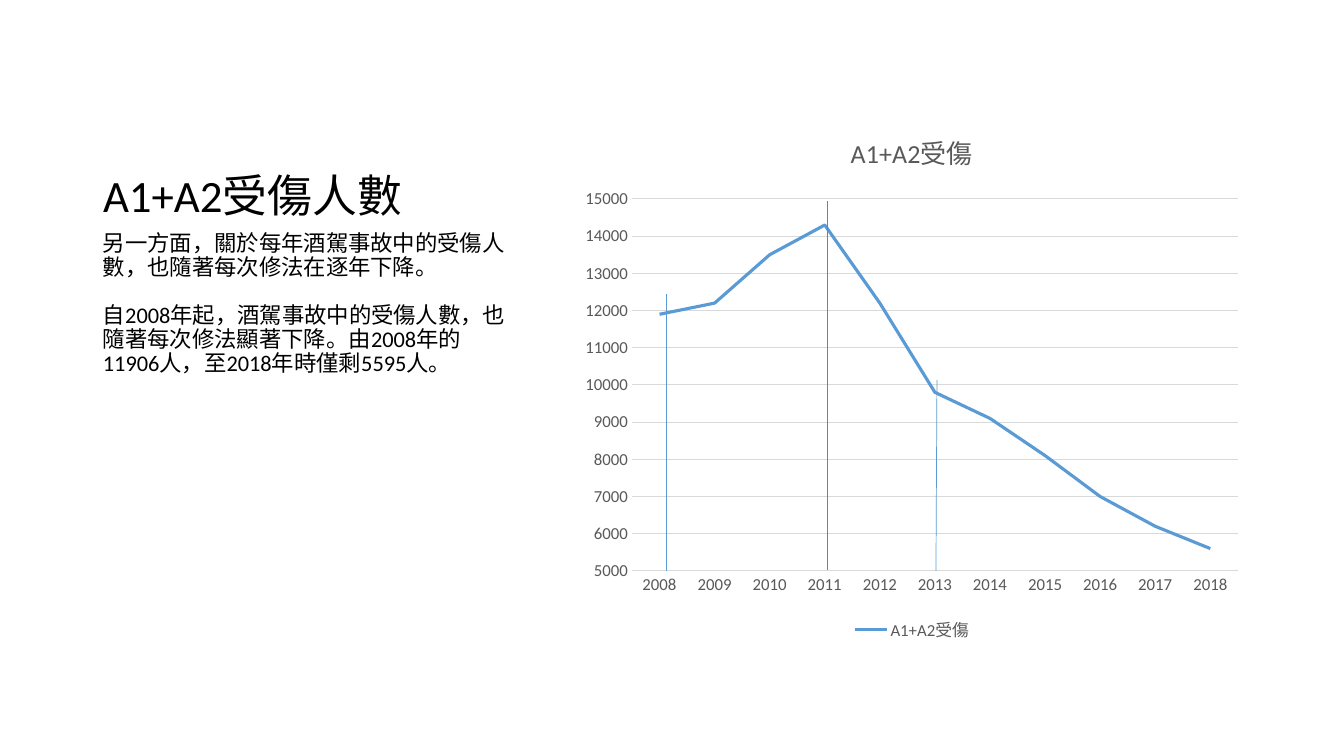
"""Builds the slide on yearly drink-driving injuries with its line chart."""
from lxml import etree
from pptx import Presentation
from pptx import util as u
from pptx.chart.data import CategoryChartData
from pptx.dml.color import RGBColor
from pptx.enum import chart as ch, shapes, text
from pptx.oxml import parse_xml
from pptx.oxml.ns import nsdecls, qn

HEADING = "A1+A2受傷人數"
STORY = [
    "另一方面，關於每年酒駕事故中的受傷人數，也隨著每次修法在逐年下降。",
    "自2008年起，酒駕事故中的受傷人數，也隨著每次修法顯著下降。由2008年的11906人，至2018年時僅剩5595人。",
]
SERIES = "A1+A2受傷"
YEARS = [str(year) for year in range(2008, 2019)]
INJURED = [11900, 12200, 13500, 14300, 12200, 9800, 9100, 8100, 7000, 6200, 5600]
COLOURS = {"ink": "000000", "label": "595959", "grid": "D9D9D9",
           "series": "5B9BD5", "marker": "7F7F7F"}
FONT = "Calibri"
TITLE_AREA = (93, 50, 433, 177)
STORY_AREA = (93, 227, 433, 420)
CHART_AREA = (572, 109, 680, 537)
PLOT_AREA = (632, 199, 606, 372)
LAW_CHANGES = [
    ((666, 294), (666, 571), "series"),
    ((827, 201), (827, 570), "marker"),
    ((937, 380), (936, 571), "series"),
]
SCALE = 914400 / 100.8


def emu(*pixels):
    return [round(pixel * SCALE) for pixel in pixels]


def colour(name):
    return RGBColor.from_string(COLOURS[name])


def apply(target, formats):
    for name, value in formats.items():
        setattr(target, name, value)


def style_font(font, size, name):
    apply(font, {"size": u.Pt(size), "name": FONT, "bold": False})
    font.color.rgb = colour(name)


def style_line(line, width, name):
    line.width = u.Pt(width)
    line.color.rgb = colour(name)


def write(box, paragraphs, size, anchor, gap=0):
    frame = box.text_frame
    apply(frame, {"word_wrap": True, "vertical_anchor": anchor,
                  "auto_size": text.MSO_AUTO_SIZE.NONE})
    for index, words in enumerate(paragraphs):
        para = frame.add_paragraph() if index else frame.paragraphs[0]
        apply(para, {"line_spacing": 0.9, "alignment": text.PP_ALIGN.LEFT,
                     "space_before": u.Pt(gap if index else 0)})
        span = para.add_run()
        span.text = words
        style_font(span.font, size, "ink")


def place_plot(chart):
    layout = parse_xml(f'<c:layout {nsdecls("c")}><c:manualLayout/></c:layout>')
    left, top, width, height = CHART_AREA
    x, y, w, h = PLOT_AREA
    values = {"layoutTarget": "inner", "xMode": "edge", "yMode": "edge",
              "x": (x - left) / width, "y": (y - top) / height,
              "w": w / width, "h": h / height}
    for name, value in values.items():
        etree.SubElement(layout[0], qn(f"c:{name}")).set("val", str(value))
    plot_area = chart.plots[0]._element.getparent()
    for old in plot_area.findall(qn("c:layout")):
        plot_area.remove(old)
    plot_area.insert(0, layout)


def add_injury_chart(page):
    data = CategoryChartData()
    data.categories = YEARS
    data.add_series(SERIES, INJURED)
    chart = page.shapes.add_chart(ch.XL_CHART_TYPE.LINE, *emu(*CHART_AREA), data).chart
    style_font(chart.font, 10, "ink")
    chart.has_title = True
    heading = chart.chart_title.text_frame
    heading.text = SERIES
    style_font(heading.paragraphs[0].runs[0].font, 18.6, "label")
    chart.has_legend = True
    apply(chart.legend, {"position": ch.XL_LEGEND_POSITION.BOTTOM, "include_in_layout": False})
    style_font(chart.legend.font, 12, "label")
    for axis in (chart.category_axis, chart.value_axis):
        apply(axis, {"major_tick_mark": ch.XL_TICK_MARK.NONE,
                     "minor_tick_mark": ch.XL_TICK_MARK.NONE})
        style_font(axis.tick_labels.font, 12, "label")
    style_line(chart.category_axis.format.line, 0.75, "grid")
    apply(chart.value_axis, {"minimum_scale": 5000, "maximum_scale": 15000,
                             "major_unit": 1000, "has_major_gridlines": True})
    chart.value_axis.format.line.fill.background()
    style_line(chart.value_axis.major_gridlines.format.line, 0.75, "grid")
    chart.plots[0].vary_by_categories = False
    series = chart.plots[0].series[0]
    series.smooth = False
    series.marker.style = ch.XL_MARKER_STYLE.NONE
    style_line(series.format.line, 2.25, "series")
    place_plot(chart)


def add_law_change(page, start, end, name):
    line = page.shapes.add_connector(shapes.MSO_CONNECTOR.STRAIGHT, *emu(*start, *end))
    style_line(line.line, 0.5, name)
    etree.SubElement(line._element.spPr, qn("a:effectLst"))


deck = Presentation()
deck.slide_width, deck.slide_height = emu(1344, 756)
page = deck.slides.add_slide(deck.slide_layouts[5])
title = page.shapes.title
apply(title, dict(zip(("left", "top", "width", "height"), emu(*TITLE_AREA))))
write(title, [HEADING], 32, text.MSO_ANCHOR.BOTTOM)
add_injury_chart(page)
write(page.shapes.add_textbox(*emu(*STORY_AREA)), STORY, 16, text.MSO_ANCHOR.TOP, gap=17)
for start, end, name in LAW_CHANGES:
    add_law_change(page, start, end, name)
deck.save("out.pptx")
